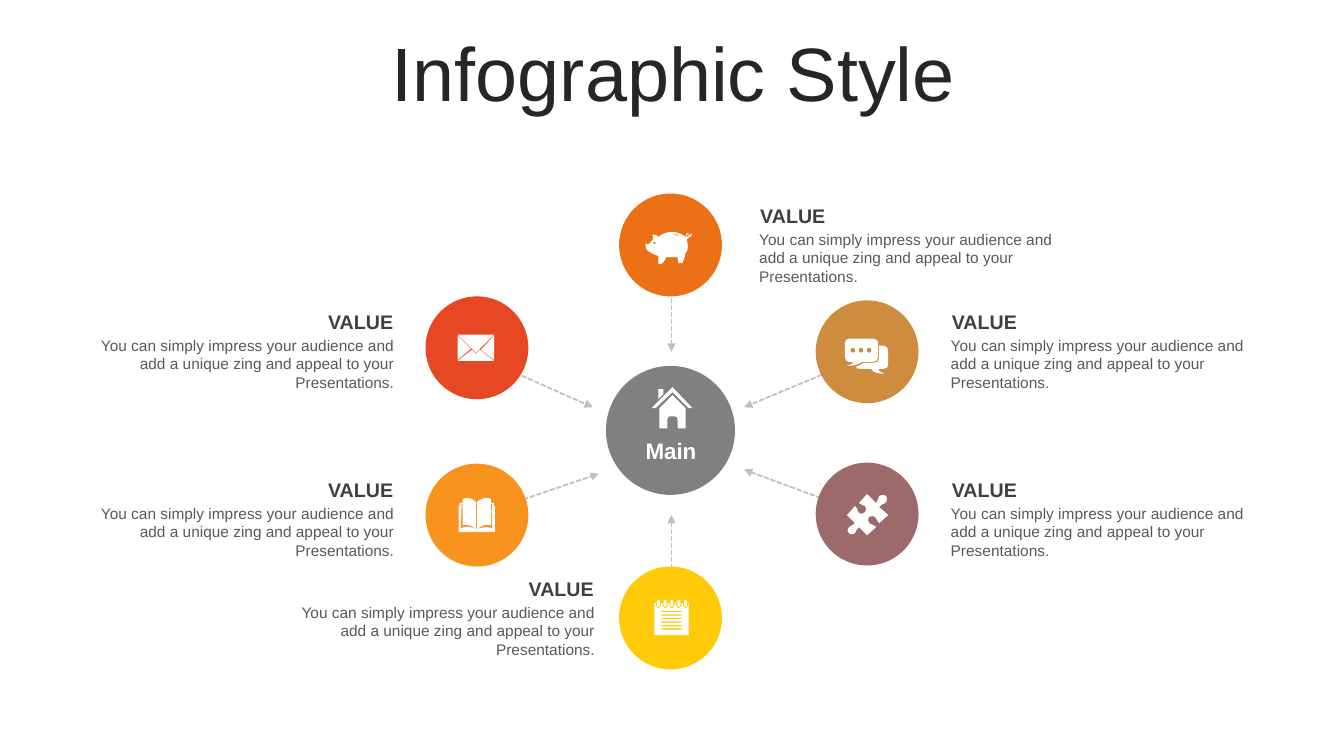
from math import hypot

from pptx import Presentation
from pptx.dml.color import RGBColor
from pptx.enum.dml import MSO_LINE
from pptx.enum.shapes import MSO_CONNECTOR, MSO_SHAPE
from pptx.enum.text import MSO_ANCHOR, MSO_AUTO_SIZE, PP_ALIGN
from pptx.oxml.ns import qn
from pptx.util import Inches, Pt
from lxml.etree import SubElement

TITLE = "Infographic Style"
HEADING = "VALUE"
BODY = ("You can simply impress your audience and add a unique zing "
        "and appeal to your Presentations.")
HUB = "Main"
FONT = "Arial"
WHITE = "FFFFFF"
LEFT, MIDDLE, RIGHT = 4.73, 6.65, 8.6  # columns of circle centres
DISC, HUB_DISC = 1.02, 1.28


def oval(x, y, rx, ry):
    """Closed contour of four curves."""
    kx, ky = rx * 0.55, ry * 0.55
    return [(x + rx, y),
            (x + rx, y + ky, x + kx, y + ry, x, y + ry),
            (x - kx, y + ry, x - rx, y + ky, x - rx, y),
            (x - rx, y - ky, x - kx, y - ry, x, y - ry),
            (x + kx, y - ry, x + rx, y - ky, x + rx, y)]


def bar(x, y, width, height):
    return [(x, y), (x + width, y), (x + width, y + height), (x, y + height)]


def notch(x):
    return [(x - 2.5, 3), (x - 2.5, 6), (x - 1, 8), (x + 1, 8), (x + 2.5, 6), (x + 2.5, 3)]


def pill(x):
    return [(x - 1.5, 1), (x, 0), (x + 1.5, 1), (x + 1.5, 6), (x, 7), (x - 1.5, 6)]


# Icon contours in hundredths of an inch: pairs are corners, sixes are Bezier curves.
RINGS = [4 + 6.75 * i for i in range(5)]
ENVELOPE = [
    [(22, 15), (36, 26), (0, 26), (14, 15), (18, 19)],
    [(36, 1), (36, 25), (23, 15)],
    [(0, 1), (13, 14), (0, 25)],
    [(0, 0), (36, 0), (18, 18)],
]
NOTEPAD = [
    [(0, 3), *(point for x in RINGS for point in notch(x)), (34, 3), (34, 35), (0, 35)],
    *(pill(x) for x in RINGS),
    *(bar(7, 11 + 3.5 * i, 20, 1.3) for i in range(6)),
]
HOUSE = [
    [(21, 8), (34, 21), (34, 41), (26, 41), (26, 32), (26, 30, 25, 29, 23, 29), (18, 29),
     (17, 29, 16, 30, 16, 32), (16, 41), (8, 41), (8, 21)],
    [(7, 2), (12, 2), (12, 7), (7, 12)],
    [(21, 0), (41, 21), (37, 21), (21, 5), (4, 21), (0, 21)],
]
BOOK = [
    [(17, 31), (18, 31), (24, 29, 27, 28, 33, 30), (33, 6), (32, 6), (32, 27),
     (27, 26, 23, 27, 18, 31), (18, 4), (21, 2, 23, 0, 27, 0), (28, 0, 30, 0, 32, 1),
     (32, 5), (35, 5), (35, 8), (36, 8), (36, 34), (0, 34), (0, 8), (1, 8), (1, 5),
     (4, 5), (4, 1), (6, 0, 8, 0, 9, 0), (12, 0, 15, 2, 17, 4), (17, 31),
     (13, 27, 8, 26, 4, 27), (4, 6), (3, 6), (2, 30), (8, 27, 12, 29, 17, 31)],
]
CHAT = [
    *(oval(x, 11.5, 2.5, 2.5) for x in (8, 16, 24)),
    [(34, 7), (38, 7), (41, 7, 43, 9, 43, 12), (43, 26), (43, 28, 41, 30, 38, 30), (33, 30),
     (34, 32, 34, 33, 39, 35), (31, 34, 29, 34, 26, 30), (15, 30), (13, 30, 11, 29, 11, 28),
     (13, 27, 16, 26, 18, 24), (29, 24), (32, 24, 34, 22, 34, 19)],
    [(4, 0), (28, 0), (31, 0, 33, 2, 33, 4), (33, 18), (33, 21, 31, 23, 28, 23), (17, 23),
     (12, 26, 10, 27, 2, 27), (7, 25, 7, 25, 9, 23), (4, 23), (2, 23, 0, 21, 0, 18),
     (0, 4), (0, 2, 2, 0, 4, 0)],
]
PUZZLE = [
    [(39, 2), (40, 4, 40, 6, 39, 8), (37, 11, 35, 9, 32, 13), (41, 21), (32, 29),
     (29, 27, 31, 25, 28, 23), (26, 21, 24, 22, 22, 23), (21, 24, 20, 27, 22, 29),
     (25, 31, 26, 30, 29, 33), (20, 41), (12, 33), (9, 35, 10, 36, 8, 39),
     (6, 41, 3, 40, 2, 39), (0, 38, 0, 35, 2, 33), (3, 31, 6, 32, 8, 29), (0, 21), (8, 12),
     (11, 14, 10, 17, 12, 19), (14, 20, 17, 20, 18, 18), (19, 17, 20, 14, 18, 12),
     (15, 10, 15, 12, 12, 9), (20, 0), (29, 9), (32, 6, 30, 5, 32, 2), (34, 0, 37, 1, 39, 2)],
]
PIG = [
    [(26, 0), (31, 0, 37, 2, 40, 5), (41, 6), (40, 3), (42, 1), (44, 3), (44, 4),
     (46, 1), (46, 4), (43, 6), (41, 8), (42, 11), (43, 15, 42, 20, 40, 21),
     (39, 26, 38, 28, 37, 31), (33, 31), (32, 25), (21, 25), (20, 28, 18, 30, 16, 32),
     (13, 32), (13, 24), (8, 22, -2, 19, 0, 12), (4, 12), (8, 7), (7, 3),
     (11, 1, 11, 4, 13, 5), (16, 2, 22, 0, 26, 0)],
    [(27, 2), (20, 4), (21, 4), (24, 2, 29, 2, 32, 4), (33, 3)],
    bar(8, 10, 2, 2),
    bar(41, 2.5, 2, 2),
]

# colour, circle centre, arrow start, arrow end, label corner, label width, side, icon, icon corner
SPOKES = [
    ("E64823", (LEFT, 3.45), (4.73, 3.53), (5.88, 4.04),
     (0.95, 3.07), 2.96, PP_ALIGN.RIGHT, ENVELOPE, (4.54, 3.32)),
    ("CE8D3E", (RIGHT, 3.49), (8.6, 3.53), (7.38, 4.04),
     (9.43, 3.07), 2.96, PP_ALIGN.LEFT, CHAT, (8.38, 3.36)),
    ("EC7016", (MIDDLE, 2.43), (6.66, 2.75), (6.66, 3.49),
     (7.53, 2.02), 3.11, PP_ALIGN.LEFT, PIG, (6.4, 2.3)),
    ("F8931D", (LEFT, 5.11), (4.73, 5.11), (5.94, 4.7),
     (0.95, 4.74), 2.96, PP_ALIGN.RIGHT, BOOK, (4.55, 4.94)),
    ("9C6A6A", (RIGHT, 5.1), (8.6, 5.11), (7.38, 4.66),
     (9.43, 4.74), 2.96, PP_ALIGN.LEFT, PUZZLE, (8.4, 4.9)),
    ("FFCA08", (MIDDLE, 6.13), (6.66, 6.13), (6.66, 5.11),
     (2.95, 5.72), 2.95, PP_ALIGN.RIGHT, NOTEPAD, (6.49, 5.95)),
]


def rgb(value):
    return RGBColor.from_string(value)


def paint(shape, colour):
    shape.shadow.inherit = False
    shape.fill.solid()
    shape.fill.fore_color.rgb = rgb(colour)
    shape.line.fill.background()


def write(frame, text, size, colour, align, bold=False):
    frame.word_wrap = True
    frame.text = text
    para = frame.paragraphs[0]
    para.alignment = align
    font = para.runs[0].font
    font.name, font.size, font.bold = FONT, Pt(size), bold
    font.color.rgb = rgb(colour)


def add_label(page, x, y, width, height, *style):
    frame = page.shapes.add_textbox(*map(Inches, (x, y, width, height))).text_frame
    frame.margin_left = frame.margin_right = frame.margin_top = frame.margin_bottom = 0
    frame.auto_size = MSO_AUTO_SIZE.SHAPE_TO_FIT_TEXT
    write(frame, *style)


def add_disc(page, centre, size, colour):
    corner = [middle - size / 2 for middle in centre]
    paint(page.shapes.add_shape(MSO_SHAPE.OVAL, *map(Inches, (*corner, size, size))), colour)


def add_arrow(page, start, end):
    arrow = page.shapes.add_connector(MSO_CONNECTOR.STRAIGHT, *map(Inches, (*start, *end)))
    arrow.line.color.rgb = rgb("BFBFBF")
    arrow.line.width = Pt(1.25)
    arrow.line.dash_style = MSO_LINE.SQUARE_DOT
    shape_style = arrow._element.spPr
    SubElement(shape_style.find(qn("a:ln")), qn("a:tailEnd"), type="triangle")
    SubElement(shape_style, qn("a:effectLst"))


def flatten(contour):
    """Turn corners and curves into points, with more steps on longer curves."""
    points = []
    for *controls, x, y in contour:
        if controls:
            ax, ay = points[-1]
            bx, by, cx, cy = controls
            steps = 2 if hypot(x - ax, y - ay) < 8 else 3
            for t in (i / steps for i in range(1, steps)):
                u = 1 - t
                weights = u ** 3, 3 * u * u * t, 3 * u * t * t, t ** 3
                points.append((sum(w * v for w, v in zip(weights, (ax, bx, cx, x))),
                               sum(w * v for w, v in zip(weights, (ay, by, cy, y)))))
        points.append((x, y))
    return points


def add_icon(page, contours, corner):
    left, top = corner
    outlines = [[(Inches(left + x / 100), Inches(top + y / 100)) for x, y in flatten(contour)]
                for contour in contours]
    builder = page.shapes.build_freeform(*outlines[0][0])
    for number, (first, *rest) in enumerate(outlines):
        if number:
            builder.move_to(*first)
        builder.add_line_segments(rest, close=True)
    paint(builder.convert_to_shape(), WHITE)


deck = Presentation()
deck.slide_width, deck.slide_height = Inches(13.33), Inches(7.5)
page = deck.slides.add_slide(deck.slide_layouts[5])

title = page.shapes.title
title.left, title.top, title.width, title.height = map(Inches, (0.35, 0.37, 12.66, 0.79))
write(title.text_frame, TITLE, 54, "262626", PP_ALIGN.CENTER)
title.text_frame.vertical_anchor = MSO_ANCHOR.MIDDLE
title.text_frame.paragraphs[0].line_spacing = 0.9

for _, _, start, end, *_ in SPOKES:
    add_arrow(page, start, end)
add_disc(page, (MIDDLE, 4.27), HUB_DISC, "808080")
add_label(page, 6.02, 4.34, 1.27, 0.27, HUB, 16, WHITE, PP_ALIGN.CENTER, True)
add_icon(page, HOUSE, (6.46, 3.84))

for colour, centre, _, _, (x, y), width, side, icon, corner in SPOKES:
    add_disc(page, centre, DISC, colour)
    add_label(page, x, y + 0.26, width, 0.37, BODY, 11, "595959", side)
    add_label(page, x + 0.01, y, width - 0.02, 0.24, HEADING, 14, "404040", side, True)
    add_icon(page, icon, corner)

deck.save("out.pptx")
